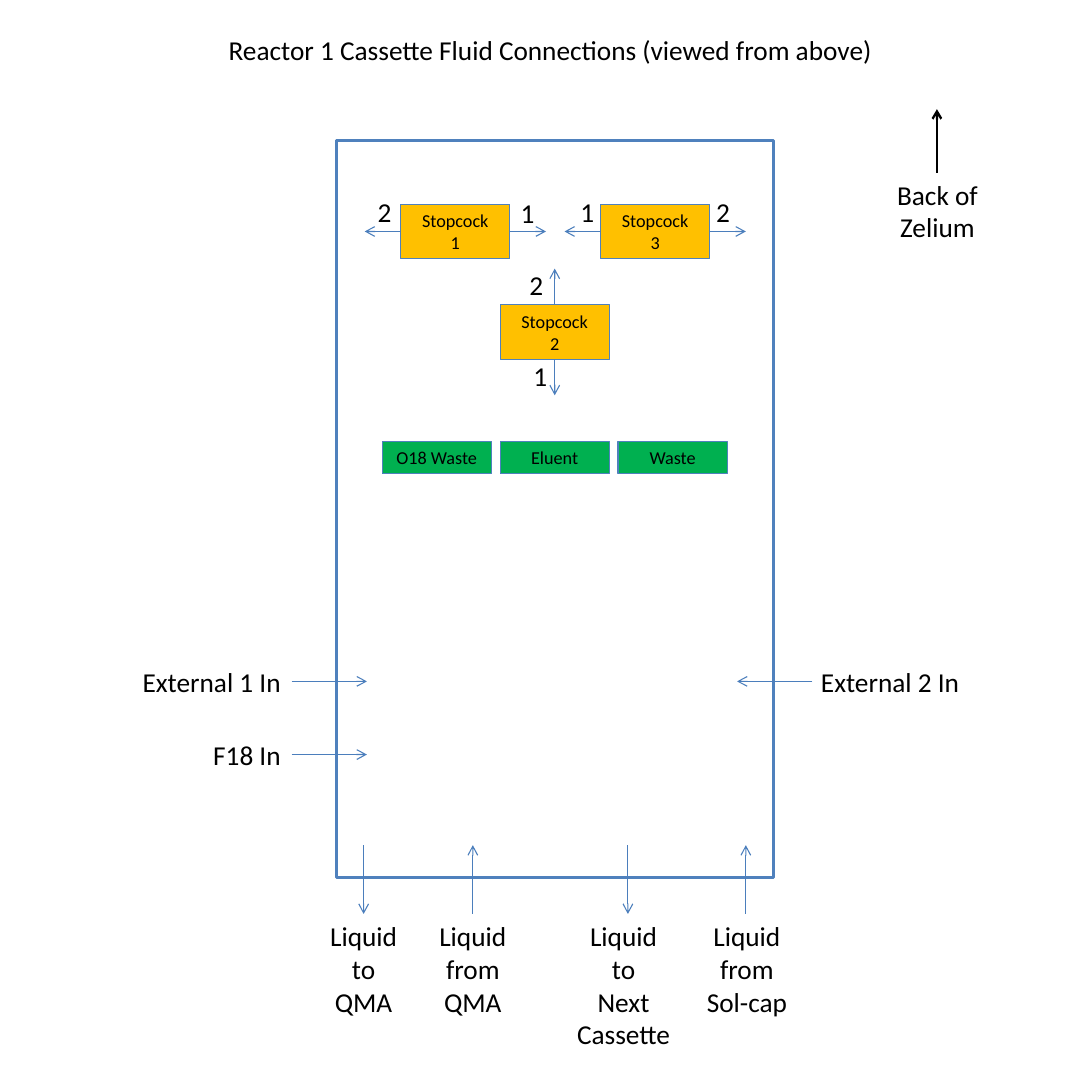
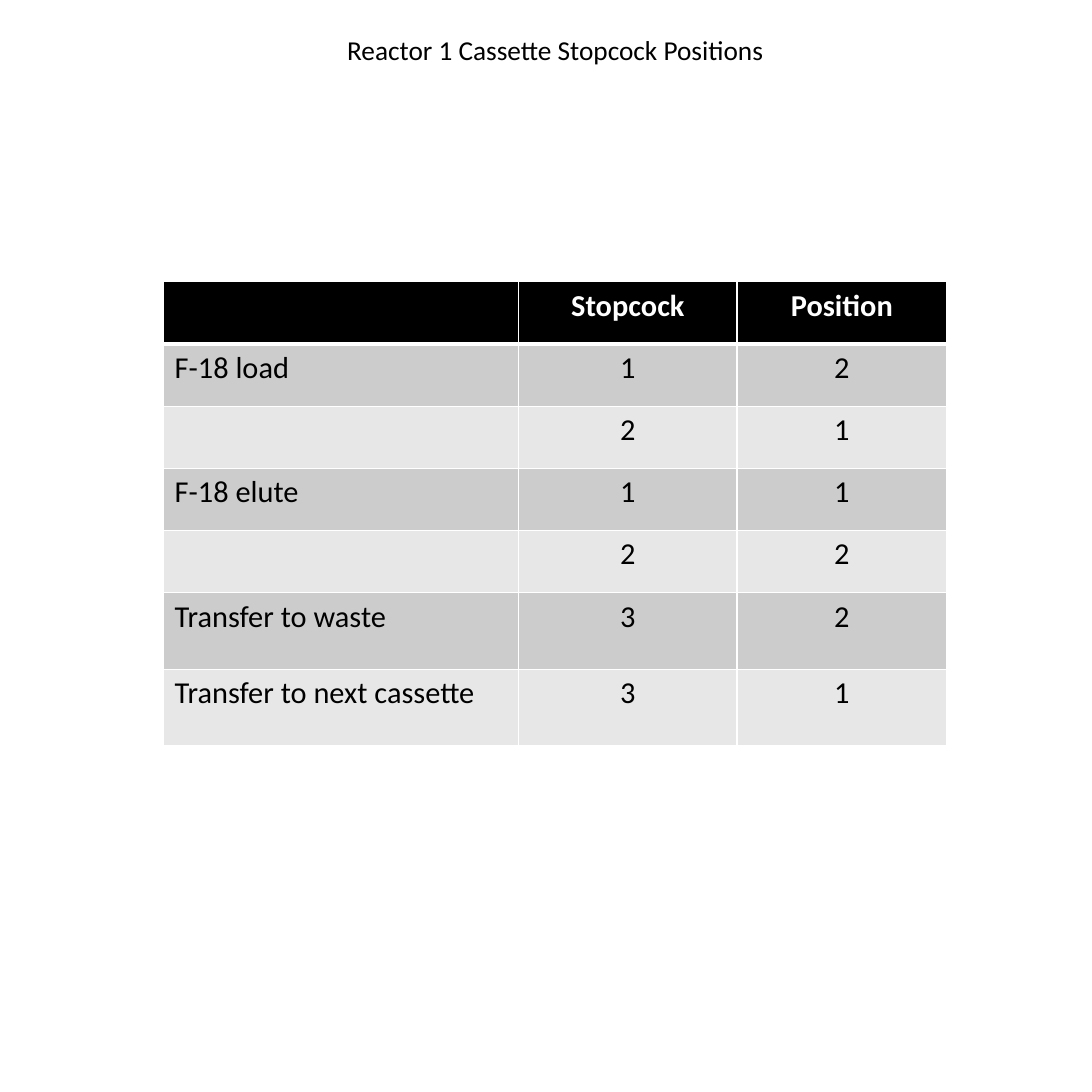
from lxml import etree
from pptx import Presentation
from pptx.dml.color import RGBColor
from pptx.enum.shapes import MSO_CONNECTOR as Conn, MSO_SHAPE as Shape
from pptx.enum.text import MSO_ANCHOR as Anchor, MSO_AUTO_SIZE as Auto, PP_ALIGN as Align
from pptx.oxml.ns import qn
from pptx.util import Inches, Pt

BLACK = RGBColor(0x00, 0x00, 0x00)
WHITE = RGBColor(0xFF, 0xFF, 0xFF)
BLUE = RGBColor(0x4F, 0x81, 0xBD)
STEEL = RGBColor(0x4B, 0x7E, 0xBC)
AMBER = RGBColor(0xFF, 0xC0, 0x00)
GREEN = RGBColor(0x00, 0xB0, 0x50)
GREY = RGBColor(0xCC, 0xCC, 0xCC)
PALE = RGBColor(0xE7, 0xE7, 0xE7)
LEFT, MID, RIGHT = Align.LEFT, Align.CENTER, Align.RIGHT


class Deck:
    font = "Calibri"

    def __init__(self, wide, high):
        self.prs = Presentation()
        self.prs.slide_width = Inches(wide)
        self.prs.slide_height = Inches(high)

    def put(self, frame, text, size, align, color=BLACK, bold=False):
        frame.text = text
        for para in frame.paragraphs:
            para.alignment = align
            for run in para.runs:
                run.font.name = self.font
                run.font.size = Pt(size)
                run.font.bold = bold
                run.font.color.rgb = color

    def label(self, frame, text, align):
        frame.word_wrap = True
        frame.auto_size = Auto.SHAPE_TO_FIT_TEXT
        frame.vertical_anchor = Anchor.TOP
        self.put(frame, text, 18, align)

    def page(self, title, left, wide):
        self.slide = self.prs.slides.add_slide(self.prs.slide_layouts[5])
        head = self.slide.shapes.title
        head.left, head.top = Inches(left), Inches(0.25)
        head.width, head.height = Inches(wide), Inches(0.4)
        self.label(head.text_frame, title, MID)

    def note(self, text, left, top, wide, high=0.4, align=LEFT):
        box = self.slide.shapes.add_textbox(
            Inches(left), Inches(top), Inches(wide), Inches(high))
        self.label(box.text_frame, text, align)

    def box(self, left, top, wide, high, fill, text="", line=0.75):
        rect = self.slide.shapes.add_shape(
            Shape.RECTANGLE, Inches(left), Inches(top), Inches(wide), Inches(high))
        rect.shadow.inherit = False
        rect.fill.solid()
        rect.fill.fore_color.rgb = fill
        rect.line.color.rgb = BLUE
        rect.line.width = Pt(line)
        if text:
            rect.text_frame.word_wrap = True
            rect.text_frame.vertical_anchor = Anchor.MIDDLE
            self.put(rect.text_frame, text, 12, MID)
        return rect

    def arrow(self, x1, y1, x2, y2, color=STEEL, width=0.75):
        link = self.slide.shapes.add_connector(
            Conn.STRAIGHT, Inches(x1), Inches(y1), Inches(x2), Inches(y2))
        link.line.color.rgb = color
        link.line.width = Pt(width)
        props = link._element.spPr
        etree.SubElement(props.find(qn("a:ln")), qn("a:tailEnd"), type="arrow")
        etree.SubElement(props, qn("a:effectLst"))
        return link

    def edge(self, cell, side, width):
        line = etree.SubElement(
            cell._tc.get_or_add_tcPr(), qn("a:ln" + side), w=str(Pt(width)))
        fill = etree.SubElement(line, qn("a:solidFill"))
        etree.SubElement(fill, qn("a:srgbClr"), val=str(WHITE))

    def table(self, left, top, cols, highs, rows):
        grid = self.slide.shapes.add_table(
            len(rows), len(cols), Inches(left), Inches(top),
            Inches(sum(cols)), Inches(sum(highs))).table
        for col, wide in zip(grid.columns, cols):
            col.width = Inches(wide)
        for r, (row, high) in enumerate(zip(rows, highs)):
            grid.rows[r].height = Inches(high)
            head = r == 0
            for c, text in enumerate(row):
                cell = grid.cell(r, c)
                for side in "LRTB":
                    thick = (r, side) in ((0, "B"), (1, "T"))
                    self.edge(cell, side, 3 if thick else 1)
                cell.fill.solid()
                cell.fill.fore_color.rgb = BLACK if head else GREY if r % 2 else PALE
                self.put(cell.text_frame, text, 20, MID if c else LEFT,
                         WHITE if head else BLACK, head)


def fluid(deck):
    deck.page("Reactor 1 Cassette Fluid Connections (viewed from above)", 0.83, 8.42)
    deck.box(3.08, 1.29, 4, 6.75, WHITE, line=2)
    deck.note("Back of Zelium", 8, 1.58, 1.17, 0.71, MID)
    deck.arrow(8.58, 1.58, 8.58, 1, BLACK, 1.5)

    wide, high, reach = 1, 0.5, 0.33
    ports = {0: (wide / 2, 0, 0, -reach), 1: (0, high / 2, -reach, 0),
             2: (wide / 2, high, 0, reach), 3: (wide, high / 2, reach, 0)}
    for name, left, top, sides in (("1", 3.67, 1.87, (1, 3)),
                                   ("3", 5.5, 1.87, (1, 3)),
                                   ("2", 4.58, 2.79, (0, 2))):
        cock = deck.box(left, top, wide, high, AMBER, "Stopcock\n" + name)
        for side in sides:
            dx, dy, run, rise = ports[side]
            x, y = left + dx, top + dy
            deck.arrow(x, y, x + run, y + rise).begin_connect(cock, side)

    for text, left, top, align in (
            ("1", 5.12, 1.74, RIGHT), ("1", 4.69, 3.24, RIGHT),
            ("1", 4.67, 1.75, LEFT), ("2", 4.75, 2.41, LEFT),
            ("2", 3.36, 1.74, LEFT), ("2", 6.46, 1.74, LEFT)):
        deck.note(text, left, top, 0.42, align=align)

    for i, text in enumerate(("O18 Waste", "Eluent", "Waste")):
        deck.box(3.5 + i * 1.08, 4.04, 1, 0.3, GREEN, text)

    for text, left, top, wide, align, start, end in (
            ("External 1 In", 1, 6.04, 1.67, RIGHT, 2.67, 3.36),
            ("F18 In", 1.67, 6.71, 1, RIGHT, 2.67, 3.36),
            ("External 2 In", 7.42, 6.04, 1.67, LEFT, 7.44, 6.75)):
        deck.note(text, left, top, wide, align=align)
        deck.arrow(start, top + 0.2, end, top + 0.2)

    inner, outer = 7.74, 8.37
    for text, left, wide, high, x, out in (
            ("Liquid to\nQMA", 2.83, 1, 1.01, 3.33, True),
            ("Liquid from QMA", 3.83, 1, 1.01, 4.33, False),
            ("Liquid to\nNext Cassette", 5.17, 1.08, 1.31, 5.75, True),
            ("Liquid from Sol-cap", 6.3, 1.08, 1.01, 6.83, False)):
        deck.note(text, left, outer, wide, high, MID)
        start, end = (inner, outer) if out else (outer, inner)
        deck.arrow(x, start, x, end)


def stops(deck):
    deck.page("Reactor 1 Cassette Stopcock Positions", 2.92, 4.33)
    deck.table(1.5, 2.58, (3.25, 2, 1.92), [0.57] * 5 + [0.7] * 2, (
        ("", "Stopcock", "Position"),
        ("F-18 load", "1", "2"),
        ("", "2", "1"),
        ("F-18 elute", "1", "1"),
        ("", "2", "2"),
        ("Transfer to waste", "3", "2"),
        ("Transfer to next cassette", "3", "1")))


def main():
    deck = Deck(10, 10)
    fluid(deck)
    stops(deck)
    deck.prs.save("out.pptx")


if __name__ == "__main__":
    main()
